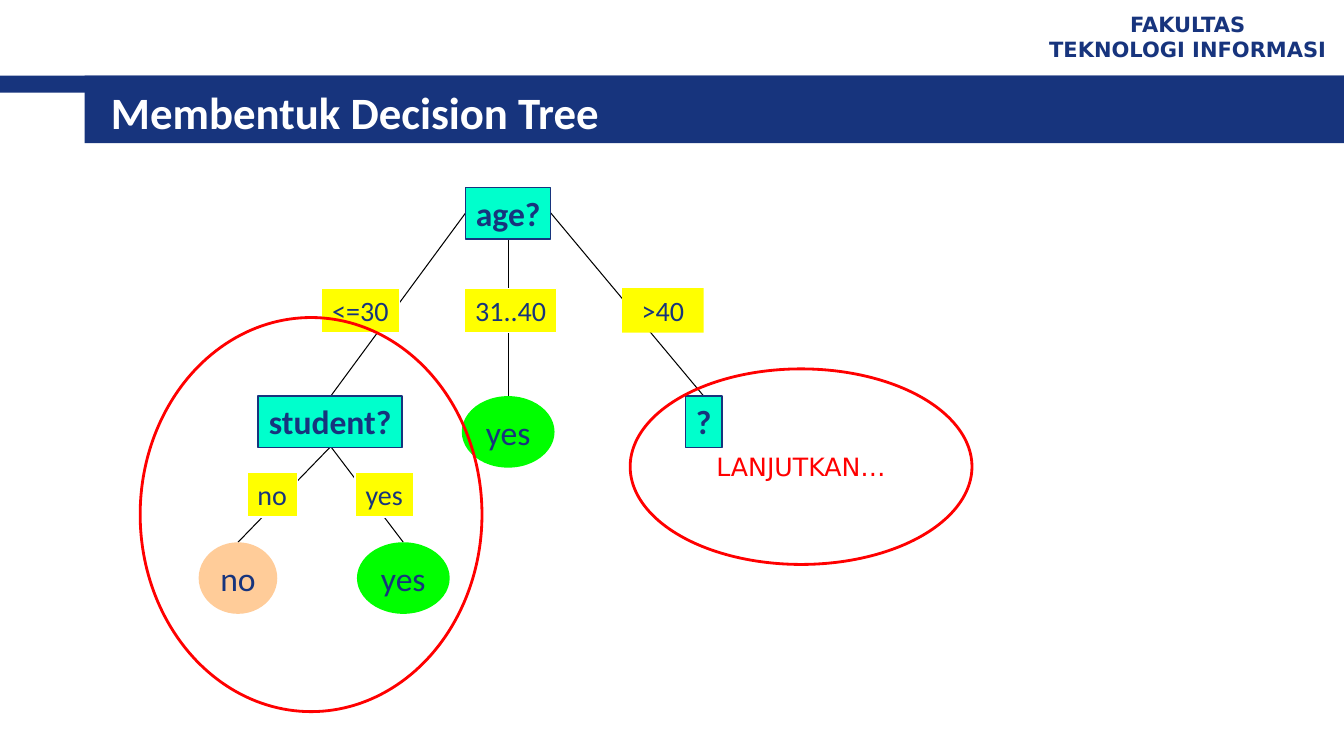
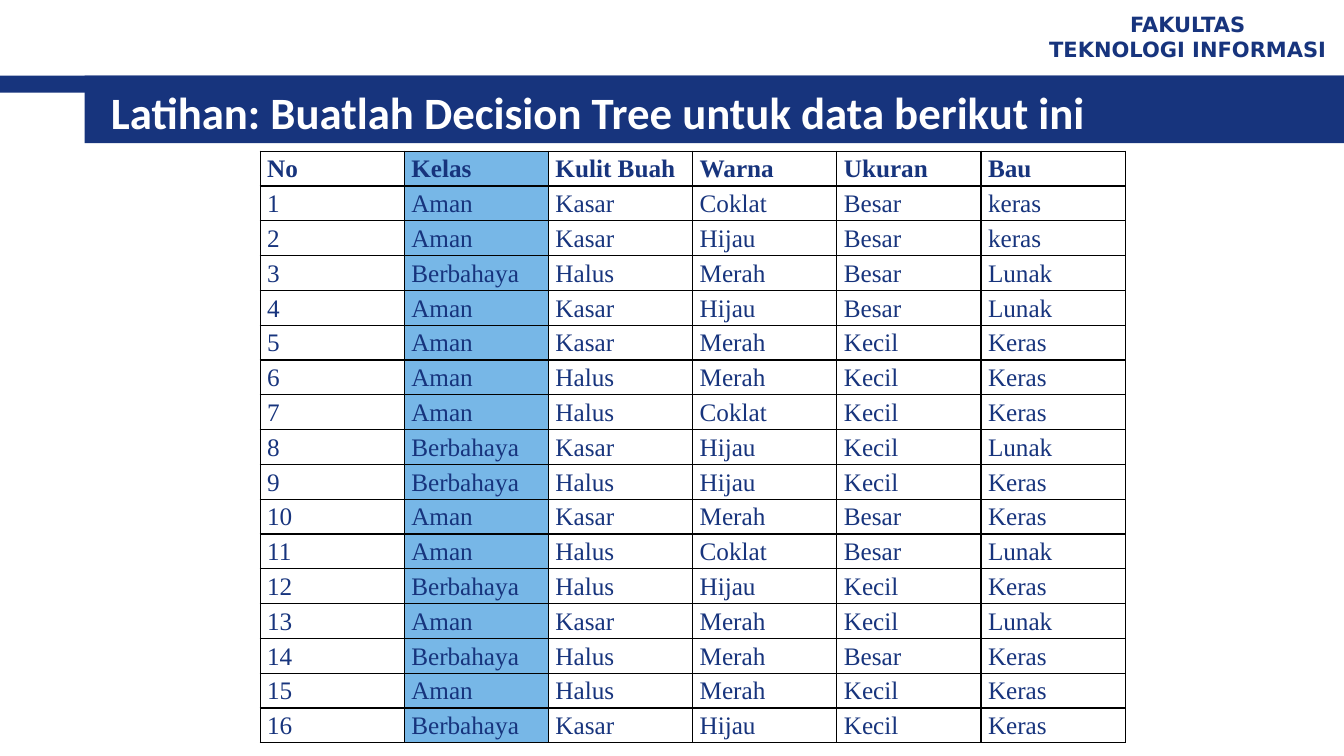
from lxml import etree
from pptx import Presentation
from pptx.dml.color import RGBColor
from pptx.enum import shapes, text
from pptx.oxml import ns
from pptx.util import Inches, Pt

NAVY = RGBColor(0x17, 0x34, 0x7D)
WHITE = RGBColor(0xFF, 0xFF, 0xFF)
BLACK = RGBColor(0x00, 0x00, 0x00)
AQUA = RGBColor(0x00, 0xFF, 0xCC)
YELLOW = RGBColor(0xFF, 0xFF, 0x00)
GREEN = RGBColor(0x00, 0xFF, 0x00)
PEACH = RGBColor(0xFF, 0xCC, 0x99)
RED = RGBColor(0xFF, 0x00, 0x00)
SKY = RGBColor(0x77, 0xB7, 0xE7)
RECT, OVAL = shapes.MSO_SHAPE.RECTANGLE, shapes.MSO_SHAPE.OVAL


def add_box(s, kind, at, fill=None, line=None, width=1):
    """Add a preset shape; a missing fill or line colour means none."""
    sp = s.shapes.add_shape(kind, *map(Inches, at))
    sp.shadow.inherit = False
    if fill is None:
        sp.fill.background()
    else:
        sp.fill.solid()
        sp.fill.fore_color.rgb = fill
    if line is None:
        sp.line.fill.background()
    else:
        sp.line.color.rgb = line
        sp.line.width = Pt(width)
    return sp


def write(p, words, size, font, color, bold=False, align=None):
    p.text = words
    p.alignment = align
    p.font.size = Pt(size)
    p.font.name = font
    p.font.color.rgb = color
    p.font.bold = bold


CENTER = text.PP_ALIGN.CENTER
prs = Presentation()
prs.slide_width, prs.slide_height = Inches(13.33), Inches(7.5)

# Shared layout: title position, bands and faculty name
layout = prs.slide_layouts[5]
layout_title, *footers = layout.placeholders
for footer in footers:
    footer.element.getparent().remove(footer.element)
layout_title.left, layout_title.top = Inches(1), Inches(0.8)
layout_title.width, layout_title.height = Inches(11.89), Inches(0.62)

tree_slide, table_slide = [prs.slides.add_slide(layout) for _ in range(2)]

bands = [add_box(tree_slide, RECT, at, NAVY)
         for at in [(0, 0.75, 13.33, 0.17), (0.84, 0.75, 12.49, 0.67)]]
faculty = tree_slide.shapes.add_textbox(
    Inches(10.23), Inches(0.05), Inches(3.1), Inches(0.62))
tf = faculty.text_frame
tf.word_wrap = True
tf.vertical_anchor = text.MSO_ANCHOR.MIDDLE
write(tf.paragraphs[0], "FAKULTAS", 15, "DejaVu Sans", NAVY, True, CENTER)
write(tf.add_paragraph(), "TEKNOLOGI INFORMASI", 15, "DejaVu Sans", NAVY, True, CENTER)
for sp in [*bands, faculty]:
    layout_title.element.addprevious(sp.element)

titles = ["Membentuk Decision Tree",
          "Latihan: Buatlah Decision Tree untuk data berikut ini"]
for s, title in zip(prs.slides, titles):
    tf = s.shapes.title.text_frame
    tf.vertical_anchor = text.MSO_ANCHOR.MIDDLE
    write(tf.paragraphs[0], title, 32, "Calibri", WHITE, True, text.PP_ALIGN.LEFT)

# Slide 1: decision tree
branches = [
    (5.46, 2.11, 6.98, 3.93),
    (5.04, 2.37, 5.04, 3.93),
    (4.62, 2.11, 3.28, 3.93),
    (3.28, 4.43, 2.36, 5.38),
    (3.28, 4.43, 4, 5.38),
]
for ends in branches:
    c = tree_slide.shapes.add_connector(
        shapes.MSO_CONNECTOR.STRAIGHT, *map(Inches, ends))
    c.line.color.rgb = BLACK
    c.line.width = Pt(0.75)
    etree.SubElement(c.element.spPr, ns.qn("a:effectLst"))

# Node style: shape, height, fill, line, text size, bold
QUESTION = (RECT, 0.51, AQUA, NAVY, 24, True)
ANSWER = (RECT, 0.44, YELLOW, WHITE, 20, False)
PLAIN_ANSWER = (RECT, 0.44, YELLOW, None, 20, False)
YES_LEAF = (OVAL, 0.71, GREEN, None, 24, False)
NO_LEAF = (OVAL, 0.71, PEACH, None, 24, False)
nodes = [
    ("age?", 4.62, 1.86, 0.84, QUESTION),
    ("student?", 2.56, 3.93, 1.43, QUESTION),
    ("?", 6.8, 3.93, 0.36, QUESTION),
    ("<=30", 3.19, 2.86, 0.77, ANSWER),
    ("31..40", 4.61, 2.86, 0.91, ANSWER),
    (">40", 6.17, 2.86, 0.81, PLAIN_ANSWER),
    ("no", 2.45, 4.69, 0.5, ANSWER),
    ("yes", 3.52, 4.69, 0.58, ANSWER),
    ("yes", 4.58, 3.93, 0.92, YES_LEAF),
    ("no", 1.97, 5.38, 0.78, NO_LEAF),
    ("yes", 3.54, 5.38, 0.92, YES_LEAF),
]
for label, x, y, w, (kind, h, fill, line, size, bold) in nodes:
    sp = add_box(tree_slide, kind, (x, y, w, h), fill, line)
    tf = sp.text_frame
    tf.word_wrap = False
    tf.vertical_anchor = text.MSO_ANCHOR.TOP
    write(tf.paragraphs[0], label, size, "Calibri", NAVY, bold, CENTER)

add_box(tree_slide, OVAL, (1.39, 3.15, 3.39, 3.91), line=RED, width=2)
sp = add_box(tree_slide, OVAL, (6.25, 3.66, 3.39, 1.94), line=RED, width=2)
sp.text_frame.vertical_anchor = text.MSO_ANCHOR.MIDDLE
write(sp.text_frame.paragraphs[0], "LANJUTKAN…", 18, "DejaVu Sans", RED, align=CENTER)

# Slide 2: exercise data
header = ["No", "Kelas", "Kulit Buah", "Warna", "Ukuran", "Bau"]
fruits = [
    ("Aman", "Kasar", "Coklat", "Besar", "keras"),
    ("Aman", "Kasar", "Hijau", "Besar", "keras"),
    ("Berbahaya", "Halus", "Merah", "Besar", "Lunak"),
    ("Aman", "Kasar", "Hijau", "Besar", "Lunak"),
    ("Aman", "Kasar", "Merah", "Kecil", "Keras"),
    ("Aman", "Halus", "Merah", "Kecil", "Keras"),
    ("Aman", "Halus", "Coklat", "Kecil", "Keras"),
    ("Berbahaya", "Kasar", "Hijau", "Kecil", "Lunak"),
    ("Berbahaya", "Halus", "Hijau", "Kecil", "Keras"),
    ("Aman", "Kasar", "Merah", "Besar", "Keras"),
    ("Aman", "Halus", "Coklat", "Besar", "Lunak"),
    ("Berbahaya", "Halus", "Hijau", "Kecil", "Keras"),
    ("Aman", "Kasar", "Merah", "Kecil", "Lunak"),
    ("Berbahaya", "Halus", "Merah", "Besar", "Keras"),
    ("Aman", "Halus", "Merah", "Kecil", "Keras"),
    ("Berbahaya", "Kasar", "Hijau", "Kecil", "Keras"),
]
rows = [header] + [(str(n), *fruit) for n, fruit in enumerate(fruits, 1)]
table = table_slide.shapes.add_table(
    len(rows), len(header), Inches(2.58), Inches(1.5), Inches(8.58), Inches(5.87)).table
table.first_row = table.horz_banding = False
for i, row in enumerate(rows):
    for j, value in enumerate(row):
        cell = table.cell(i, j)
        cell.margin_left = cell.margin_right = Inches(0.07)
        cell.margin_top = cell.margin_bottom = 0
        p = cell.text_frame.paragraphs[0]
        write(p, value, 18, "Times New Roman", NAVY, bold=i == 0)
        p.line_spacing = 1.15
        tcPr = cell._tc.get_or_add_tcPr()
        for side in ("lnL", "lnR", "lnT", "lnB"):
            ln = etree.SubElement(tcPr, ns.qn(f"a:{side}"), w=str(Pt(1)))
            paint = etree.SubElement(ln, ns.qn("a:solidFill"))
            etree.SubElement(paint, ns.qn("a:srgbClr"), val=str(BLACK))
        if header[j] == "Kelas":
            cell.fill.solid()
            cell.fill.fore_color.rgb = SKY
        else:
            cell.fill.background()

prs.save("out.pptx")
